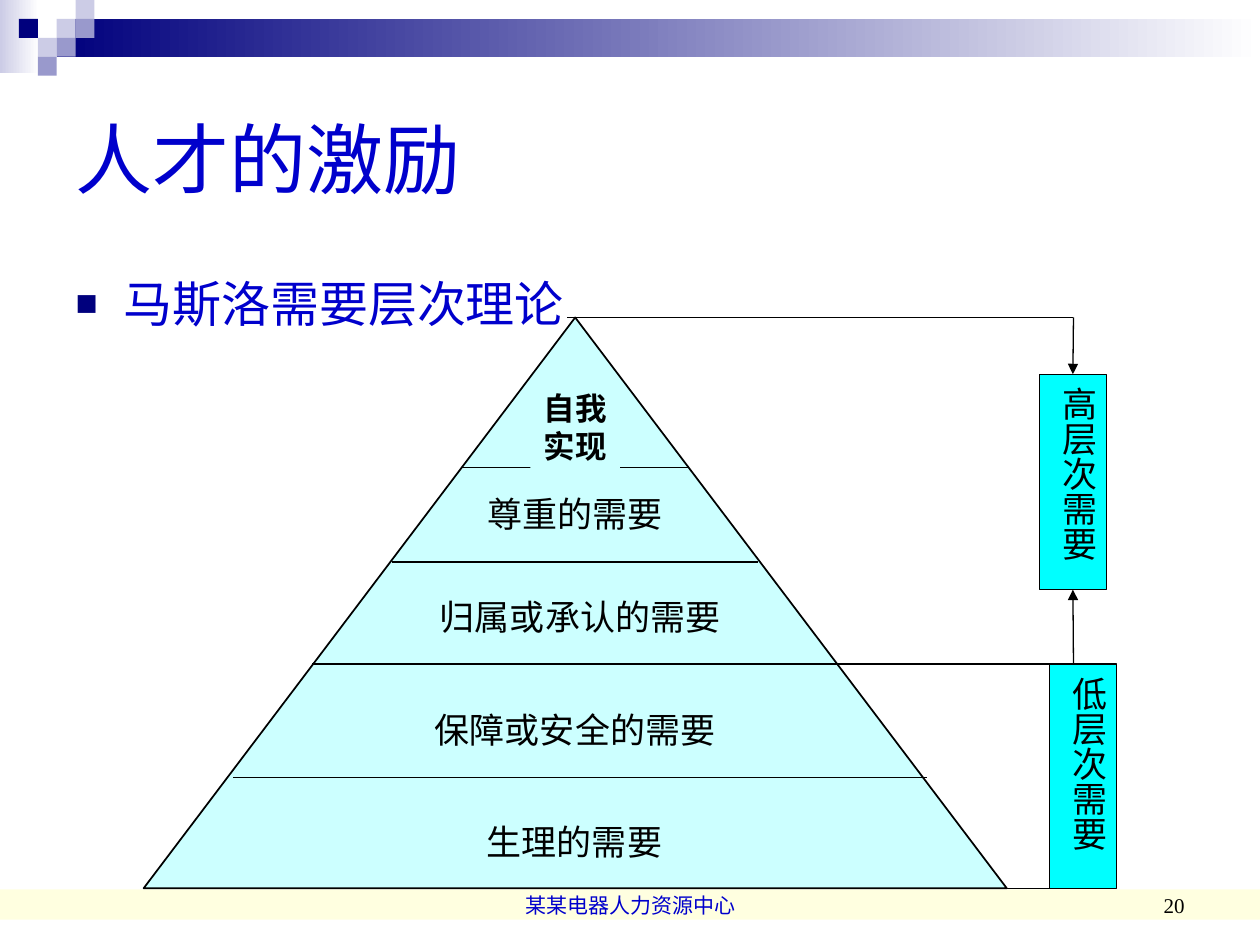
from pptx import Presentation
from pptx.dml.color import RGBColor
from pptx.enum.shapes import MSO_CONNECTOR, MSO_SHAPE
from pptx.enum.text import MSO_ANCHOR, MSO_AUTO_SIZE, PP_ALIGN
from pptx.oxml import parse_xml
from pptx.oxml.ns import nsdecls, qn
from pptx.util import Inches, Pt

NAVY, BLUE, BLACK, WHITE = "00007D", "0000CC", "000000", "FFFFFF"
LAVENDER, VIOLET = "CCCCE6", "9999CC"
PALE_CYAN, CYAN, CREAM = "CCFFFF", "00FFFF", "FFFF99"
SERIF, SANS = "Times New Roman", "Arial"
TOP, BOTTOM = 0, 2


def rgb(color):
    return RGBColor.from_string(color)


def element(xml):
    """Parse an XML fragment whose root is in the drawing namespace."""
    tag, _, rest = xml.partition(" ")
    return parse_xml(f"{tag} {nsdecls('a')} {rest}")


class SlideBuilder:
    def __init__(self, slide):
        self.slide = slide

    def place(self, shape, box):
        for name, value in zip(("left", "top", "width", "height"), box):
            setattr(shape, name, Inches(value))

    def set_text(self, shape, text, size, color=BLACK, font=SERIF, bold=False,
                 align=PP_ALIGN.CENTER, anchor=MSO_ANCHOR.TOP, margins=(0.1, 0.05)):
        frame = shape.text_frame
        across, down = (Inches(margin) for margin in margins)
        frame_format = {
            "word_wrap": True, "auto_size": MSO_AUTO_SIZE.NONE,
            "vertical_anchor": anchor,
            "margin_left": across, "margin_right": across,
            "margin_top": down, "margin_bottom": down,
        }
        for name, value in frame_format.items():
            setattr(frame, name, value)
        paragraph = frame.paragraphs[0]
        paragraph.alignment = align
        paragraph.space_before = Pt(0)
        run = paragraph.add_run()
        run.text = text
        for name, value in {"size": Pt(size), "name": font, "bold": bold}.items():
            setattr(run.font, name, value)
        run.font.color.rgb = rgb(color)
        return paragraph

    def title(self, text, box):
        shape = self.slide.shapes.title
        self.place(shape, box)
        self.set_text(shape, text, 44, BLUE, SANS, align=PP_ALIGN.LEFT,
                      anchor=MSO_ANCHOR.MIDDLE)

    def bullet(self, text, box):
        shape = self.slide.placeholders[1]
        self.place(shape, box)
        paragraph = self.set_text(shape, text, 28, BLUE, SANS, align=PP_ALIGN.LEFT)
        paragraph.line_spacing = 0.9
        properties = paragraph._p.get_or_add_pPr()
        properties.set("marL", str(Inches(0.38)))
        properties.set("indent", str(Inches(-0.38)))
        for xml in (f'<a:buClr ><a:srgbClr val="{NAVY}"/></a:buClr>',
                    '<a:buSzPct val="75000"/>',
                    f'<a:buFont typeface="{SANS}"/>',
                    '<a:buChar char="■"/>'):
            properties.append(element(xml))

    def shape(self, box, fill, line_width=0, kind=MSO_SHAPE.RECTANGLE):
        shape = self.slide.shapes.add_shape(kind, *map(Inches, box))
        shape.shadow.inherit = False
        shape.fill.solid()
        shape.fill.fore_color.rgb = rgb(fill)
        if line_width:
            shape.line.color.rgb = rgb(BLACK)
            shape.line.width = Pt(line_width)
        else:
            shape.line.fill.background()
        return shape

    def fading_band(self, box, color):
        """Add a band that fades from a colour at the left to white."""
        fill = self.shape(box, color).fill
        fill.gradient()
        fill.gradient_angle = 180
        for stop, stop_color in zip(fill.gradient_stops, (WHITE, color)):
            stop.color.rgb = rgb(stop_color)

    def vertical_box(self, text, box):
        shape = self.shape(box, CYAN, 0.75)
        self.set_text(shape, text, 20, margins=(0.05, 0.1))
        shape.text_frame._txBody.bodyPr.set("vert", "eaVert")
        return shape

    def text(self, text, box, **style):
        shape = self.slide.shapes.add_textbox(*map(Inches, box))
        self.set_text(shape, text, 12, anchor=MSO_ANCHOR.BOTTOM, **style)

    def line(self, start, end, joined=None, arrow=False):
        """Draw a line; joined is the (shape, side) at its end."""
        connector = self.slide.shapes.add_connector(
            MSO_CONNECTOR.STRAIGHT, *map(Inches, start + end))
        connector.line.color.rgb = rgb(BLACK)
        connector.line.width = Pt(0.75)
        if joined:
            connector.end_connect(*joined)
        if arrow:
            connector.line._get_or_add_ln().append(
                element('<a:tailEnd type="triangle"/>'))
        connector._element.spPr.append(element("<a:effectLst />"))


def add_decoration(builder):
    footer_band = builder.shape((0, 7.06, 10, 0.24), CREAM)
    color = footer_band._element.spPr.find(qn("a:solidFill"))[0]
    color.append(element('<a:alpha val="30000"/>'))
    builder.fading_band((0, 0, 0.31, 0.58), LAVENDER)
    builder.fading_band((0.45, 0.15, 9.55, 0.3), NAVY)
    side = 0.15
    for column, row, color in ((3, 1, LAVENDER), (4, 0, LAVENDER), (4, 1, VIOLET),
                               (2, 2, LAVENDER), (1, 1, NAVY), (3, 2, VIOLET),
                               (2, 3, VIOLET)):
        builder.shape((column * side, row * side, side, side), color)


def add_pyramid(builder):
    builder.shape((1.14, 2.52, 6.85, 4.53), PALE_CYAN, 1,
                  MSO_SHAPE.ISOSCELES_TRIANGLE)
    for y, left, right in ((3.71, 3.66, 5.47), (4.46, 3.11, 6.02),
                           (5.27, 2.48, 6.65), (6.17, 1.85, 7.36)):
        builder.line((left, y), (right, y))
    peak = builder.shape((4.21, 3.04, 0.71, 0.7), PALE_CYAN)
    builder.set_text(peak, "自我实现", 18, bold=True)
    for text, left, top, width in (("尊重的需要", 3.66, 3.86, 1.81),
                                   ("归属或承认的需要", 3.19, 4.68, 2.83),
                                   ("保障或安全的需要", 2.48, 5.57, 4.17),
                                   ("生理的需要", 2.63, 6.46, 3.86)):
        level = builder.shape((left, top, width, 0.44), PALE_CYAN)
        builder.set_text(level, text, 20)


def add_need_groups(builder):
    axis, apex_y, split_y, base_y = 8.52, 2.52, 5.27, 7.05
    builder.line((4.5, apex_y), (axis, apex_y))
    builder.line((6.47, split_y), (axis, split_y))
    higher = builder.vertical_box("高层次需要", (8.25, 2.97, 0.53, 1.71))
    lower = builder.vertical_box("低层次需要", (8.33, split_y, 0.53, 1.78))
    builder.line((7.89, base_y), (8.6, base_y), (lower, BOTTOM))
    builder.line((axis, apex_y), (axis, 2.97), (higher, TOP), arrow=True)
    builder.line((axis, split_y), (axis, 4.68), (higher, BOTTOM), arrow=True)


def main():
    presentation = Presentation()
    presentation.slide_width = Inches(10)
    presentation.slide_height = Inches(7.5)
    slide = presentation.slides.add_slide(presentation.slide_layouts[1])
    builder = SlideBuilder(slide)
    add_decoration(builder)
    builder.title("人才的激励", (0.5, 0.5, 9, 1.5))
    builder.bullet("马斯洛需要层次理论", (0.5, 2.17, 9, 0.56))
    add_pyramid(builder)
    add_need_groups(builder)
    builder.text("某某电器人力资源中心", (3.42, 6.83, 3.17, 0.5), color=BLUE)
    builder.text("20", (7.17, 6.83, 2.33, 0.5), align=PP_ALIGN.RIGHT)
    presentation.save("out.pptx")


if __name__ == "__main__":
    main()
